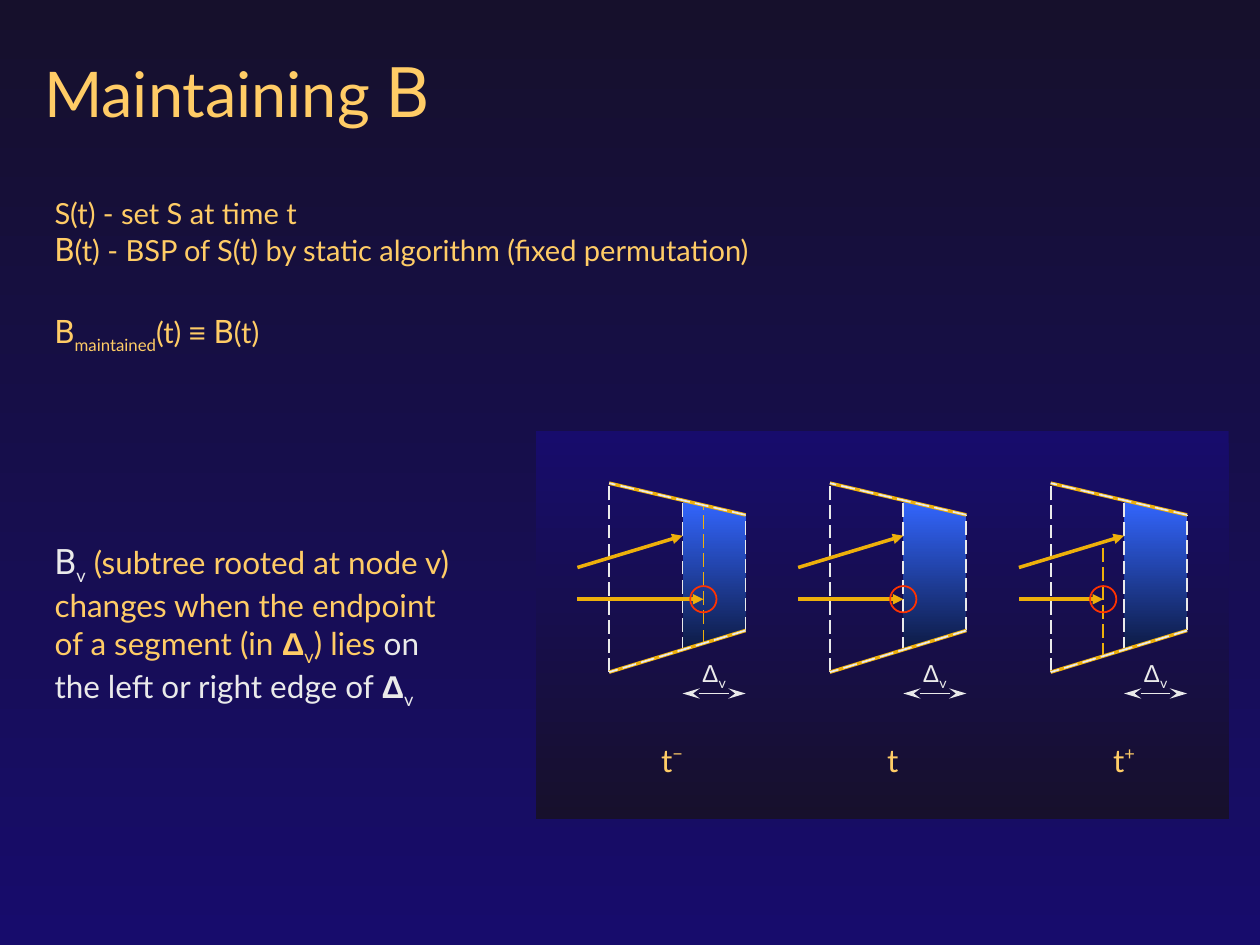
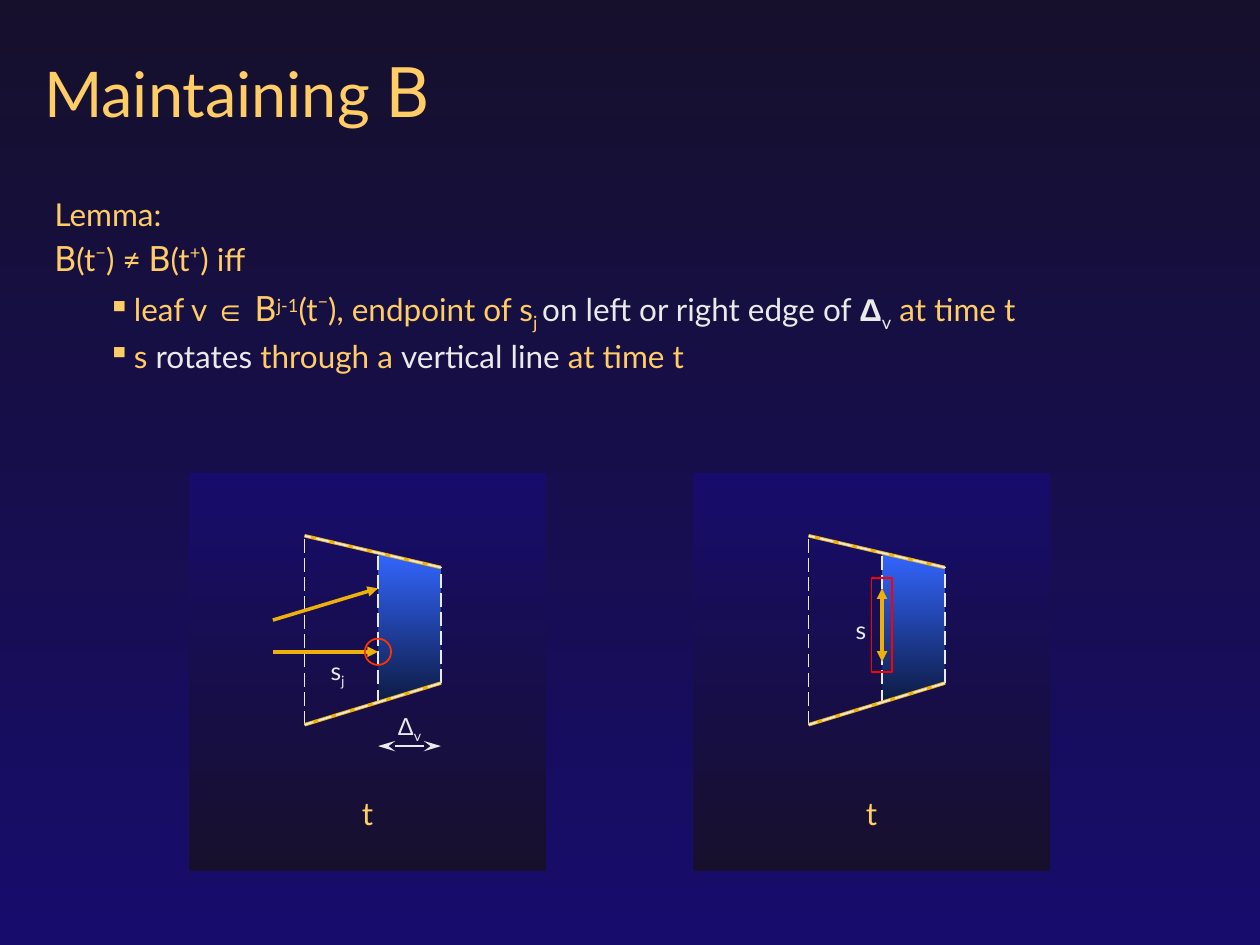
from lxml.etree import SubElement
from pptx import Presentation
from pptx.dml.color import RGBColor
from pptx.enum.dml import MSO_LINE
from pptx.enum.shapes import MSO_CONNECTOR, MSO_SHAPE
from pptx.enum.text import MSO_ANCHOR, PP_ALIGN
from pptx.oxml.ns import qn
from pptx.util import Cm, Pt

COLORS = {
    "night": "16102C", "indigo": "170C6C", "panel_end": "17102C",
    "amber": "FFCC66", "gold": "EEB00B", "pale": "EAEAEA",
    "sky": "3366FF", "deep": "0D1A42", "ring": "FF3300", "red": "FF0000",
}


def write_text(slide, box, paragraphs, size=18, color="amber", align=PP_ALIGN.LEFT,
               anchor=MSO_ANCHOR.TOP, after=2.2):
    """Each paragraph is (options, run, run, ...); a run is a string or (string, format)."""
    frame = slide.shapes.add_textbox(*(Cm(n) for n in box)).text_frame
    frame.word_wrap = True
    frame.vertical_anchor = anchor
    for index, (options, *runs) in enumerate(paragraphs):
        paragraph = frame.paragraphs[0] if index == 0 else frame.add_paragraph()
        paragraph.alignment = align
        paragraph.space_after = Pt(after)
        if "before" in options:
            paragraph.space_before = Pt(options["before"])
        if "spacing" in options:
            paragraph.line_spacing = options["spacing"]
        if "bullet" in options:
            paragraph.level = 1
            properties = paragraph._p.get_or_add_pPr()
            properties.set("marL", str(Cm(1.6)))
            properties.set("indent", str(Cm(-0.53)))
            bullet_color = SubElement(properties, qn("a:buClr"))
            SubElement(bullet_color, qn("a:srgbClr"), val=COLORS["amber"])
            SubElement(properties, qn("a:buChar"), char=options["bullet"])
        for part in runs:
            words, style = (part, {}) if isinstance(part, str) else part
            run = paragraph.add_run()
            run.text = words
            run.font.name = style.get("font", "Lato")
            run.font.size = Pt(style.get("size", size))
            run.font.bold = style.get("bold", False)
            run.font.color.rgb = RGBColor.from_string(COLORS[style.get("color", color)])
            if "base" in style:
                run._r.get_or_add_rPr().set("baseline", str(style["base"] * 1000))


def draw_line(slide, start, end, color="pale", width=1, dashed=False,
              head=None, tail=None, length="med"):
    """Draw a line; head sits at the start and tail at the end."""
    line = slide.shapes.add_connector(
        MSO_CONNECTOR.STRAIGHT, *(Cm(n) for n in (*start, *end)))
    line.line.color.rgb = RGBColor.from_string(COLORS[color])
    line.line.width = Pt(width)
    if dashed:
        line.line.dash_style = MSO_LINE.LONG_DASH
    outline = line.line._get_or_add_ln()
    for tag, kind in (("a:headEnd", head), ("a:tailEnd", tail)):
        if kind:
            SubElement(outline, qn(tag), type=kind, w="med", len=length)
    SubElement(line._element.spPr, qn("a:effectLst"))


# Runs that recur in the text
SUB, PALE = {"base": -25}, {"color": "pale"}
B = ("B", {"font": "Roboto", "size": 20})
SMALL_B = ("B", {"font": "Roboto", "size": 18.5})
MINUS, PLUS = ("−", {"base": 40}), ("+", {"base": 40})
V, PALE_V = ("v", SUB), ("v", {**SUB, **PALE})
DELTA = ("Δ", {"font": "Arial", "bold": True})
PALE_DELTA = ("Δ", {**DELTA[1], **PALE})
TIGHT = {"spacing": 0.9}
BULLET = {"bullet": "▪"}

pages = [
    {
        "blocks": [
            ((0.85, 3.81, 23.7, 3.81), {"size": 16.6}, [
                ({}, "S(t) - set S at time t"),
                (TIGHT, SMALL_B, "(t) - BSP of S(t) by static algorithm (fixed permutation)"),
                ({**TIGHT, "before": 23}, SMALL_B, ("maintained", SUB), "(t) ",
                 ("≡ ", {"font": "Arial"}), SMALL_B, "(t)"),
            ]),
            ((0.85, 8.89, 8.89, 7.41), {"anchor": MSO_ANCHOR.MIDDLE}, [
                ({}, ("B", {**B[1], **PALE}), PALE_V,
                 " (subtree rooted at node v) changes when the endpoint of a segment (in ",
                 DELTA, V, ") lies ", ("on the left or right edge of ", PALE),
                 PALE_DELTA, PALE_V),
            ]),
        ],
        "panels": [(10.8, 8.68, 13.97, 7.83)],
        "origin": (13.76, 9.74),
        "pitch": 4.45,
        # tip: endpoint of the lower segment, measured from the edge of the cell
        "cells": [
            {"tip": 0.42, "cut": (0.46, 3.23), "caption": ("t", MINUS)},
            {"tip": 0, "caption": ("t",)},
            {"tip": -0.42, "cut": (1.19, 3.51), "caption": ("t", PLUS), "caption_x": -1.06},
        ],
    },
    {
        "blocks": [
            ((0.85, 3.81, 23.28, 4.02), {}, [
                ({}, "Lemma:"),
                ({}, B, "(t", MINUS, ") ≠ ", B, "(t", PLUS, ") iff"),
                ({**BULLET, "before": 2.2}, "leaf v ", ("∈ ", {"font": "Arial"}), B,
                 ("j-1", {"base": 30}), "(t", MINUS, "), endpoint of s", ("j ", SUB),
                 ("on left or right edge of ", PALE), PALE_DELTA, PALE_V, " at time t"),
                (BULLET, "s ", ("rotates", PALE), " through a ", ("vertical line", PALE),
                 " at time t"),
            ]),
        ],
        "panels": [(3.81, 9.53, 7.2, 8.04), (13.97, 9.53, 7.2, 8.04)],
        "origin": (7.62, 10.8),
        "pitch": 10.16,
        "cells": [
            {"tip": 0, "caption": ("t",), "label": ("s", ("j", SUB)), "label_at": (-1.45, 2.29)},
            {"caption": ("t",), "label": ("s",), "label_at": (-1.06, 1.48)},
        ],
    },
]

# Trapezoid around each cell, measured from the top of its inner edge
LEFT, RIGHT, HEIGHT = -1.48, 1.27, 3.81
INNER_TOP, INNER_BOTTOM = 0.34, 3.38
OUTER_TOP, OUTER_BOTTOM = 0.64, 2.97
UPPER_TIP, LOWER_Y, SEGMENT_START, RING = 1.06, 2.34, -2.12, 0.53

prs = Presentation()
prs.slide_width, prs.slide_height = Cm(25.4), Cm(19.05)
gradients = []

for page in pages:
    slide = prs.slides.add_slide(prs.slide_layouts[6])
    gradients.append((slide.background.fill, "night", "indigo"))
    write_text(slide, (0.64, 0.85, 23.7, 1.9),
               [({}, "Maintaining ", ("B", {"font": "Roboto", "size": 40}))],
               size=36, anchor=MSO_ANCHOR.MIDDLE, after=0)
    for box, layout, paragraphs in page["blocks"]:
        write_text(slide, box, paragraphs, **layout)

    for box in page["panels"]:
        panel = slide.shapes.add_shape(MSO_SHAPE.RECTANGLE, *(Cm(n) for n in box))
        panel.shadow.inherit = False
        panel.line.fill.background()
        gradients.append((panel.fill, "indigo", "panel_end"))

    for number, cell in enumerate(page["cells"]):
        x, y = page["origin"][0] + number * page["pitch"], page["origin"][1]
        left, right = x + LEFT, x + RIGHT
        outline = [(Cm(px), Cm(y + py)) for px, py in (
            (right, OUTER_TOP), (right, OUTER_BOTTOM), (x, INNER_BOTTOM), (x, INNER_TOP))]
        builder = slide.shapes.build_freeform(*outline[0])
        builder.add_line_segments(outline[1:], close=True)
        region = builder.convert_to_shape()
        region.shadow.inherit = False
        region.line.fill.background()
        gradients.append((region.fill, "sky", "deep"))

        if "cut" in cell:
            top, bottom = cell["cut"]
            draw_line(slide, (x + cell["tip"], y + bottom), (x + cell["tip"], y + top),
                      color="gold", dashed=True)
        for edge, top, bottom in ((left, 0, HEIGHT), (right, OUTER_TOP, OUTER_BOTTOM),
                                  (x, INNER_TOP, INNER_BOTTOM)):
            draw_line(slide, (edge, y + bottom), (edge, y + top), dashed=True)
        for stroke in ({"color": "gold", "width": 2}, {"dashed": True}):
            draw_line(slide, (right, y + OUTER_BOTTOM), (left, y + HEIGHT), **stroke)
            draw_line(slide, (right, y + OUTER_TOP), (left, y), **stroke)

        segment = {"color": "gold", "width": 2, "head": "triangle"}
        if "tip" in cell:
            tip = x + cell["tip"]
            draw_line(slide, (x, y + UPPER_TIP), (x + SEGMENT_START, y + 1.7), **segment)
            draw_line(slide, (tip, y + LOWER_Y), (x + SEGMENT_START, y + LOWER_Y), **segment)
            write_text(slide, (x, y + 3.4, 1.27, 0.94),
                       [({}, ("Δ", {"font": "Arial"}), V)],
                       size=14, color="pale", align=PP_ALIGN.CENTER, after=0)
            draw_line(slide, (x, y + 4.24), (right, y + 4.24),
                      head="stealth", tail="stealth", length="lg")
            marker, marker_color = MSO_SHAPE.OVAL, "ring"
            marker_box = (tip - RING / 2, y + LOWER_Y - RING / 2, RING, RING)
        else:
            draw_line(slide, (x, y + UPPER_TIP), (x, y + 2.54), tail="triangle", **segment)
            marker, marker_color = MSO_SHAPE.RECTANGLE, "red"
            marker_box = (x - 0.21, y + 0.85, 0.42, 1.9)
        highlight = slide.shapes.add_shape(marker, *(Cm(n) for n in marker_box))
        highlight.shadow.inherit = False
        highlight.fill.background()
        highlight.line.color.rgb = RGBColor.from_string(COLORS[marker_color])
        highlight.line.width = Pt(1)

        if "label" in cell:
            dx, dy = cell["label_at"]
            write_text(slide, (x + dx, y + dy, 1.27, 0.94), [({}, *cell["label"])],
                       size=14, color="pale", align=PP_ALIGN.CENTER, after=0)
        write_text(slide, (x + cell.get("caption_x", -1.27), y + 5.08, 2.12, 1.27),
                   [({}, *cell["caption"])], align=PP_ALIGN.CENTER)

for fill, *ends in gradients:
    fill.gradient()
    fill.gradient_angle = 270
    for stop, name in zip(fill.gradient_stops, ends):
        stop.color.rgb = RGBColor.from_string(COLORS[name])

prs.save("out.pptx")
